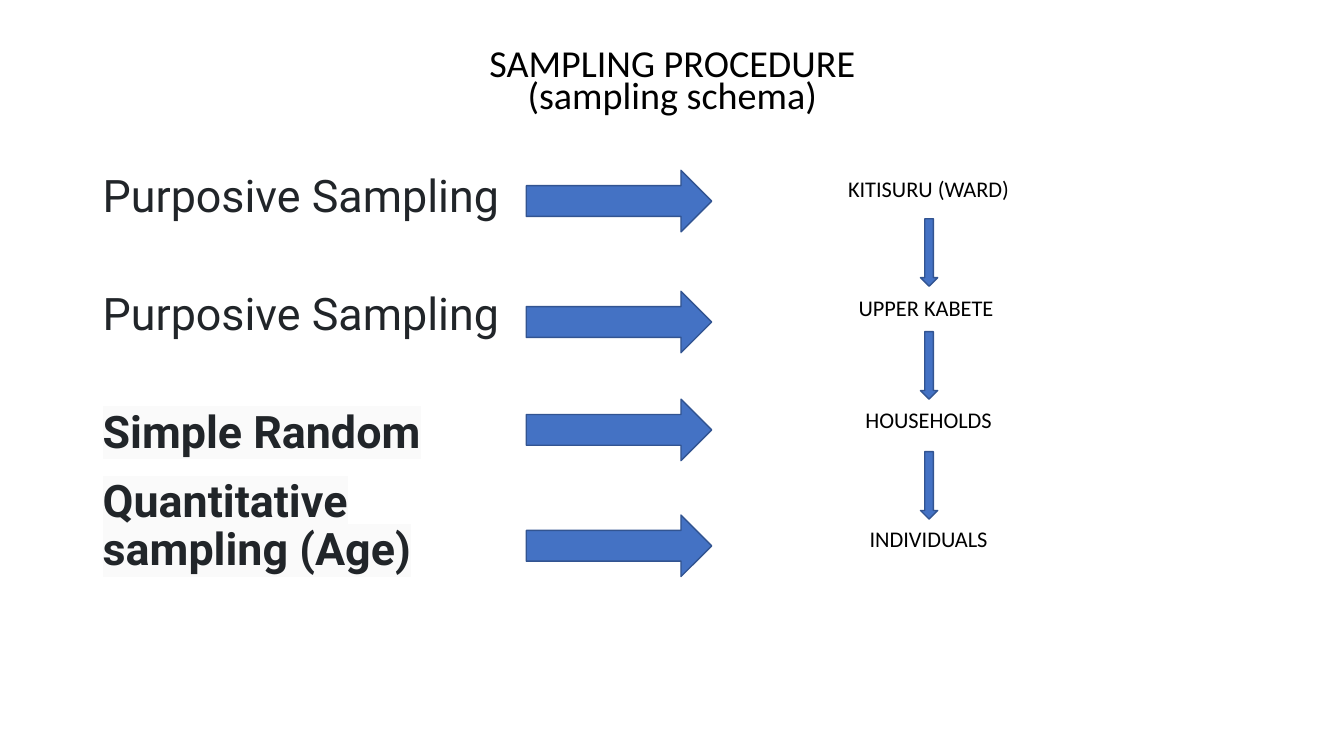
from dataclasses import dataclass

from lxml import etree
from pptx import Presentation
from pptx import util as u
from pptx.dml import color
from pptx.enum import shapes, text
from pptx.oxml import ns


@dataclass(frozen=True)
class Theme:
    """Colours, fonts and type sizes of the slide."""

    ink: str = "000000"
    method_ink: str = "212529"
    highlight: str = "FAFAFA"
    arrow_fill: str = "4472C4"
    arrow_line: str = "325491"
    method_font: str = "Roboto"
    body_font: str = "Calibri"
    heading_size: float = 27.2
    method_size: float = 32
    stage_size: float = 16


class SamplingSlide:
    """Draws on one slide; every box is given in percent of the slide's size."""

    def __init__(self, presentation, theme):
        """Add a title-only slide to the presentation."""
        self.width = presentation.slide_width
        self.height = presentation.slide_height
        self.theme = theme
        self.slide = presentation.slides.add_slide(presentation.slide_layouts[5])

    def place(self, left, top, width, height):
        """Turn percentages into slide lengths."""
        return (
            int(self.width * left / 100),
            int(self.height * top / 100),
            int(self.width * width / 100),
            int(self.height * height / 100),
        )

    def set_text(self, shape, lines, font, size, ink, anchor, align, spacing, before=0, bold=False):
        """Fill a text shape with evenly styled paragraphs."""
        frame = shape.text_frame
        frame.text = "\n".join(lines)
        frame.word_wrap = True
        frame.auto_size = text.MSO_AUTO_SIZE.NONE
        frame.vertical_anchor = anchor
        for paragraph in frame.paragraphs:
            paragraph.alignment = align
            paragraph.line_spacing = spacing
            paragraph.space_before = u.Pt(before)
            paragraph.font.name = font
            paragraph.font.size = u.Pt(size)
            paragraph.font.bold = bold
            paragraph.font.color.rgb = color.RGBColor.from_string(ink)

    def heading(self, lines, box):
        """Place and format the title."""
        title = self.slide.shapes.title
        title.left, title.top, title.width, title.height = self.place(*box)
        self.set_text(title, lines, self.theme.body_font, self.theme.heading_size, self.theme.ink,
                      text.MSO_ANCHOR.BOTTOM, text.PP_ALIGN.CENTER, 0.7)

    def method(self, label, box, marked):
        """Add a sampling method, bold and highlighted when marked."""
        shape = self.slide.shapes.add_textbox(*self.place(*box))
        self.set_text(shape, [label], self.theme.method_font, self.theme.method_size,
                      self.theme.method_ink, text.MSO_ANCHOR.BOTTOM, text.PP_ALIGN.LEFT, 0.9, bold=marked)
        if marked:
            run = shape.text_frame.paragraphs[0].runs[0]
            highlight = etree.SubElement(run._r.get_or_add_rPr(), ns.qn("a:highlight"))
            etree.SubElement(highlight, ns.qn("a:srgbClr"), val=self.theme.highlight)

    def stage(self, label, box):
        """Add a sampling stage."""
        shape = self.slide.shapes.add_textbox(*self.place(*box))
        self.set_text(shape, [label], self.theme.body_font, self.theme.stage_size, self.theme.ink,
                      text.MSO_ANCHOR.TOP, text.PP_ALIGN.CENTER, 0.9, before=10)

    def arrow(self, kind, box):
        """Add a block arrow."""
        shape = self.slide.shapes.add_shape(kind, *self.place(*box))
        shape.shadow.inherit = False
        shape.fill.solid()
        shape.fill.fore_color.rgb = color.RGBColor.from_string(self.theme.arrow_fill)
        shape.line.color.rgb = color.RGBColor.from_string(self.theme.arrow_line)
        shape.line.width = u.Pt(1)


METHODS = [
    ("Purposive Sampling", False),
    ("Purposive Sampling", False),
    ("Simple Random", True),
    ("Quantitative sampling (Age)", True),
]
STAGES = [
    ("KITISURU (WARD)", 22.93),
    ("UPPER KABETE ", 38.67),
    ("HOUSEHOLDS", 53.47),
    ("INDIVIDUALS", 69.2),
]
METHOD_ARROW_TOPS = [22.53, 38.53, 52.8, 68.13]
STAGE_ARROW_TOPS = [28.93, 43.87, 59.73]
LEFT, COLUMN = 6.9, 32.26
ARROW_LEFT, ARROW_WIDTH = LEFT + COLUMN, 13.8
STAGE_LEFT = ARROW_LEFT + ARROW_WIDTH
FIRST_ROW, ROW = 14.4, 15.6


def main():
    """Build and save the sampling schema."""
    presentation = Presentation()
    presentation.slide_width = u.Inches(13.33)
    presentation.slide_height = u.Inches(7.5)
    schema = SamplingSlide(presentation, Theme())

    schema.heading(["SAMPLING PROCEDURE", "(sampling schema)"], (LEFT, 5.33, 86.27, 10.67))
    for row, (label, marked) in enumerate(METHODS):
        schema.method(label, (LEFT, FIRST_ROW + row * ROW, COLUMN, ROW), marked)
    for label, top in STAGES:
        schema.stage(label, (STAGE_LEFT, top, COLUMN, 7.73))
    for top in METHOD_ARROW_TOPS:
        schema.arrow(shapes.MSO_SHAPE.RIGHT_ARROW, (ARROW_LEFT, top, ARROW_WIDTH, 8.13))
    for top in STAGE_ARROW_TOPS:
        schema.arrow(shapes.MSO_SHAPE.DOWN_ARROW, (68.49, top, 1.28, 8.93))

    presentation.save("out.pptx")


if __name__ == "__main__":
    main()
